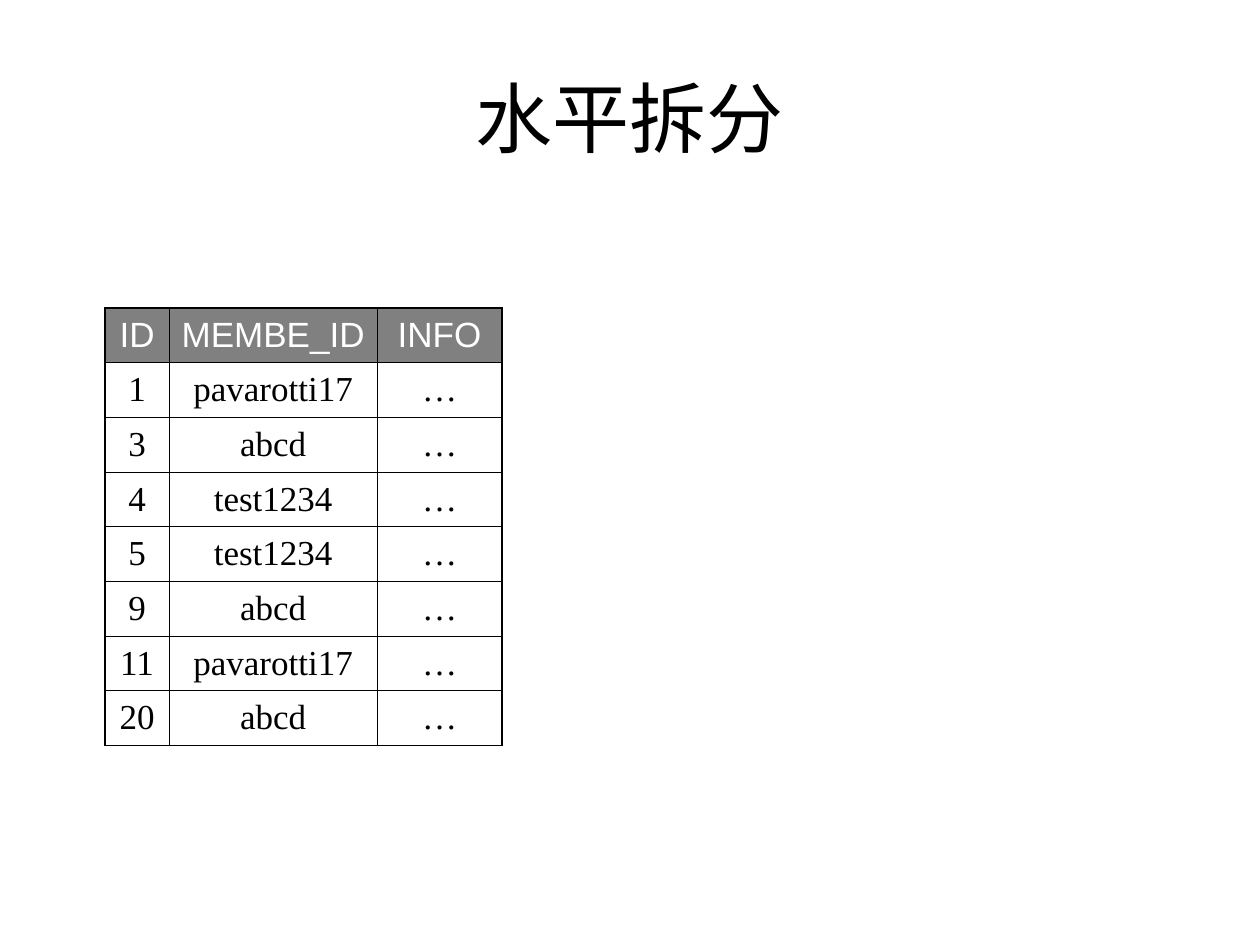
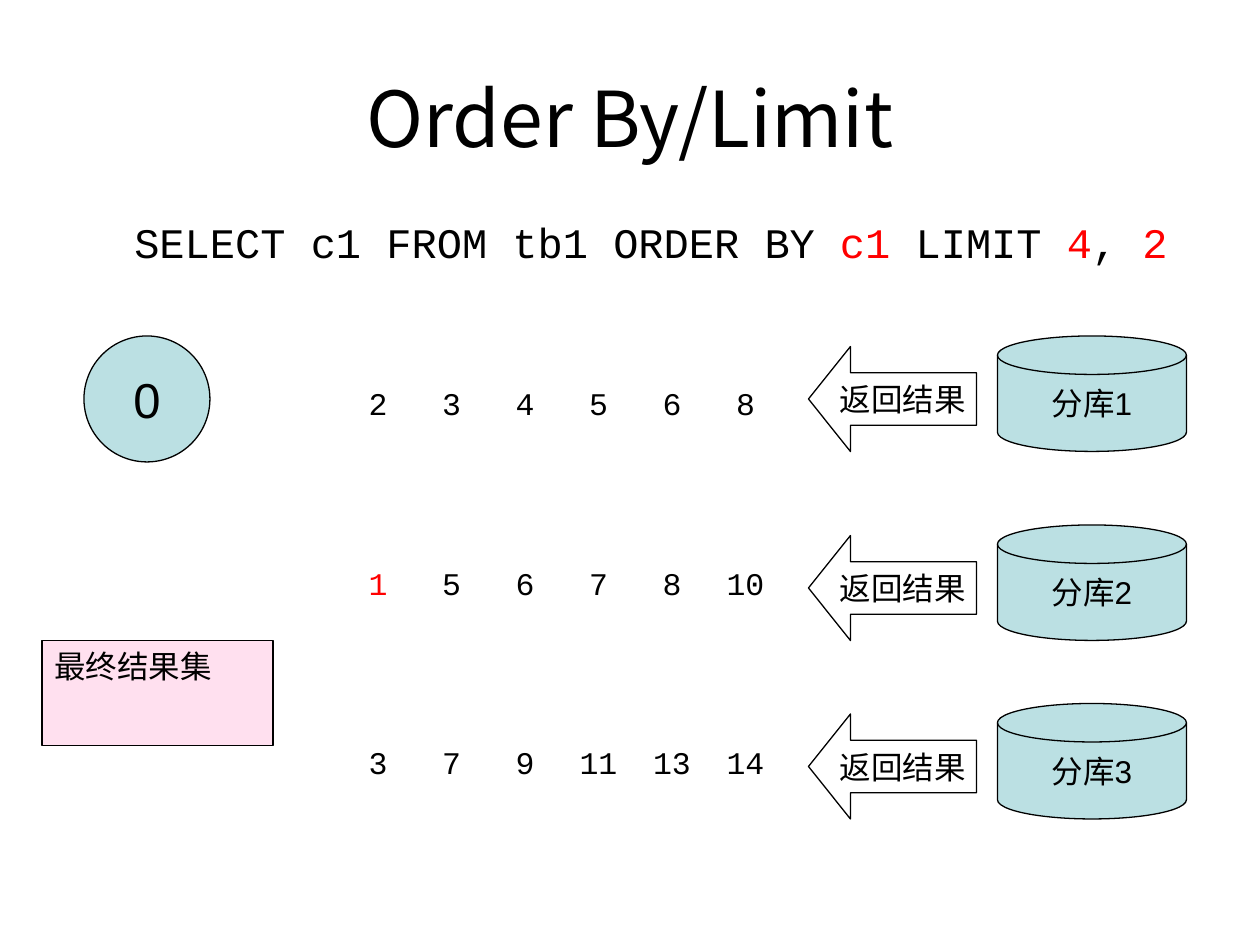
"""Builds two slides on horizontal splitting and on Order By/Limit over shards."""
from lxml import etree
from pptx import Presentation
from pptx.dml.color import RGBColor
from pptx.enum.shapes import MSO_SHAPE
from pptx.enum.text import MSO_ANCHOR, MSO_AUTO_SIZE, PP_ALIGN
from pptx.oxml.ns import qn
from pptx.util import Inches, Pt

CENTER, LEFT = PP_ALIGN.CENTER, PP_ALIGN.LEFT
TOP, MIDDLE = MSO_ANCHOR.TOP, MSO_ANCHOR.MIDDLE
GROW = MSO_AUTO_SIZE.SHAPE_TO_FIT_TEXT
DISK, ARROW = MSO_SHAPE.FLOWCHART_MAGNETIC_DISK, MSO_SHAPE.LEFT_ARROW
OVAL, RECTANGLE = MSO_SHAPE.OVAL, MSO_SHAPE.RECTANGLE

COLORS = {"black": "000000", "white": "FFFFFF", "gray": "808080",
          "red": "FF0000", "teal": "BBE0E3", "pink": "FF99CC"}
SANS, SERIF, MONO, CJK = "Arial", "Times New Roman", "Courier New", "Noto Sans CJK SC"
GRID = 1 / 12

SPLIT_TITLE = "水平拆分"
MEMBERS = [
    ("ID", "MEMBE_ID", "INFO"),
    ("1", "pavarotti17", "…"),
    ("3", "abcd", "…"),
    ("4", "test1234", "…"),
    ("5", "test1234", "…"),
    ("9", "abcd", "…"),
    ("11", "pavarotti17", "…"),
    ("20", "abcd", "…"),
]
MEMBER_LEFT, MEMBER_TOP = 10 * GRID, 22 / 9
MEMBER_WIDTHS = (0.51, 1.65, 0.99)
MEMBER_ROW_HEIGHT = 3.47 / len(MEMBERS)
CELL_MARGIN = 0.09
THIN, THICK = 0.45, 1.08

LIMIT_TITLE = "Order By/Limit"
QUERY = [("SELECT c1 FROM tb1 ORDER BY ", "black"), ("c1", "red"), (" LIMIT ", "black"),
         ("4", "red"), (", ", "black"), ("2", "red")]
SHARDS = [
    {"name": "分库1", "grid_row": 32, "values_top": 3, "values": (2, 3, 4, 5, 6, 8)},
    {"name": "分库2", "grid_row": 50, "values_top": 4.43, "values": (1, 5, 6, 7, 8, 10)},
    {"name": "分库3", "grid_row": 67, "values_top": 5.85, "values": (3, 7, 9, 11, 13, 14)},
]
SMALLEST = min(value for shard in SHARDS for value in shard["values"])
RETURN_LABEL = "返回结果"
COUNTER = "0"
RESULT_LABEL = "最终结果集"
VALUES_LEFT, VALUE_STEP = 2.75, 7 * GRID


def color(name):
    return RGBColor.from_string(COLORS[name])


def write(text_frame, pieces, size, font=SANS, align=CENTER, anchor=MIDDLE, before=0):
    text_frame.vertical_anchor = anchor
    paragraph = text_frame.paragraphs[0]
    paragraph.alignment = align
    paragraph.space_before = Pt(before)
    for text, color_name in pieces:
        run = paragraph.add_run()
        run.text = text
        run.font.size = Pt(size)
        run.font.name = font
        run.font.color.rgb = color(color_name)
        etree.SubElement(run.font._element, qn("a:ea"), typeface=CJK)


def add_text(slide, box, pieces, size, font, anchor=TOP, before=0, grow=True):
    shape = slide.shapes.add_textbox(*map(Inches, box))
    shape.text_frame.word_wrap = True
    if grow:
        shape.text_frame.auto_size = GROW
    write(shape.text_frame, pieces, size, font, anchor=anchor, before=before)


def add_title(slide, text, font):
    add_text(slide, (0.5, 0.3, 9, 1.25), [(text, "black")], 44, font, MIDDLE, grow=False)


def add_figure(slide, kind, grid_box, text, fill=None, size=18, align=CENTER, anchor=MIDDLE):
    shape = slide.shapes.add_shape(kind, *(Inches(units * GRID) for units in grid_box))
    shape.shadow.inherit = False
    if fill:
        shape.fill.solid()
        shape.fill.fore_color.rgb = color(fill)
    else:
        shape.fill.background()
    shape.line.color.rgb = color("black")
    shape.line.width = Pt(0.75)
    shape.text_frame.word_wrap = False
    write(shape.text_frame, [(text, "black")], size, align=align, anchor=anchor)
    return shape


def set_borders(cell, widths):
    properties = cell._tc.get_or_add_tcPr()
    for side, width in widths.items():
        line = etree.SubElement(properties, qn(f"a:ln{side}"), w=str(Pt(width)))
        fill = etree.SubElement(line, qn("a:solidFill"))
        etree.SubElement(fill, qn("a:srgbClr"), val=COLORS["black"])


def add_member_table(slide):
    last_row, last_column = len(MEMBERS) - 1, len(MEMBER_WIDTHS) - 1
    table = slide.shapes.add_table(
        len(MEMBERS), len(MEMBER_WIDTHS), Inches(MEMBER_LEFT), Inches(MEMBER_TOP),
        Inches(sum(MEMBER_WIDTHS)), Inches(MEMBER_ROW_HEIGHT * len(MEMBERS))).table
    table.first_row = table.horz_banding = False
    for column, width in zip(table.columns, MEMBER_WIDTHS):
        column.width = Inches(width)
    for row_index, values in enumerate(MEMBERS):
        table.rows[row_index].height = Inches(MEMBER_ROW_HEIGHT)
        header = row_index == 0
        for column_index, value in enumerate(values):
            cell = table.cell(row_index, column_index)
            outer = {"L": column_index == 0, "R": column_index == last_column,
                     "T": header, "B": row_index == last_row}
            set_borders(cell, {side: THICK if edge else THIN for side, edge in outer.items()})
            cell.fill.solid()
            cell.fill.fore_color.rgb = color("gray" if header else "white")
            cell.vertical_anchor = MIDDLE
            cell.margin_left = cell.margin_right = Inches(CELL_MARGIN)
            write(cell.text_frame, [(value, "white" if header else "black")], 20,
                  SANS if header else SERIF, before=5)


def add_shard(slide, shard):
    grid_row = shard["grid_row"]
    add_figure(slide, DISK, (95, grid_row, 18, 11), shard["name"], "teal")
    arrow = add_figure(slide, ARROW, (77, grid_row + 1, 16, 10), RETURN_LABEL)
    arrow.adjustments[0], arrow.adjustments[1] = 0.5, 0.4
    for position, value in enumerate(shard["values"]):
        box = (VALUES_LEFT + position * VALUE_STEP, shard["values_top"], 0.5, 0.4)
        add_text(slide, box, [(str(value), "red" if value == SMALLEST else "black")],
                 18, MONO, before=11.2)


def build_split_slide(slide):
    add_title(slide, SPLIT_TITLE, SANS)
    add_member_table(slide)


def build_limit_slide(slide):
    add_title(slide, LIMIT_TITLE, CJK)
    add_text(slide, (11 * GRID, 20 * GRID, 8.5, 0.5), QUERY, 24, MONO, before=15)
    for shard in SHARDS:
        add_shard(slide, shard)
    add_figure(slide, OVAL, (8, 32, 12, 12), COUNTER, "teal", size=28)
    result = add_figure(slide, RECTANGLE, (4, 61, 22, 10), RESULT_LABEL, "pink",
                        align=LEFT, anchor=TOP)
    pink = result._element.spPr.find(qn("a:solidFill"))[0]
    etree.SubElement(pink, qn("a:alpha"), val="30000")


def main():
    presentation = Presentation()
    presentation.slide_width, presentation.slide_height = Inches(10), Inches(7.5)
    for build in (build_split_slide, build_limit_slide):
        build(presentation.slides.add_slide(presentation.slide_layouts[6]))
    presentation.save("out.pptx")


if __name__ == "__main__":
    main()
